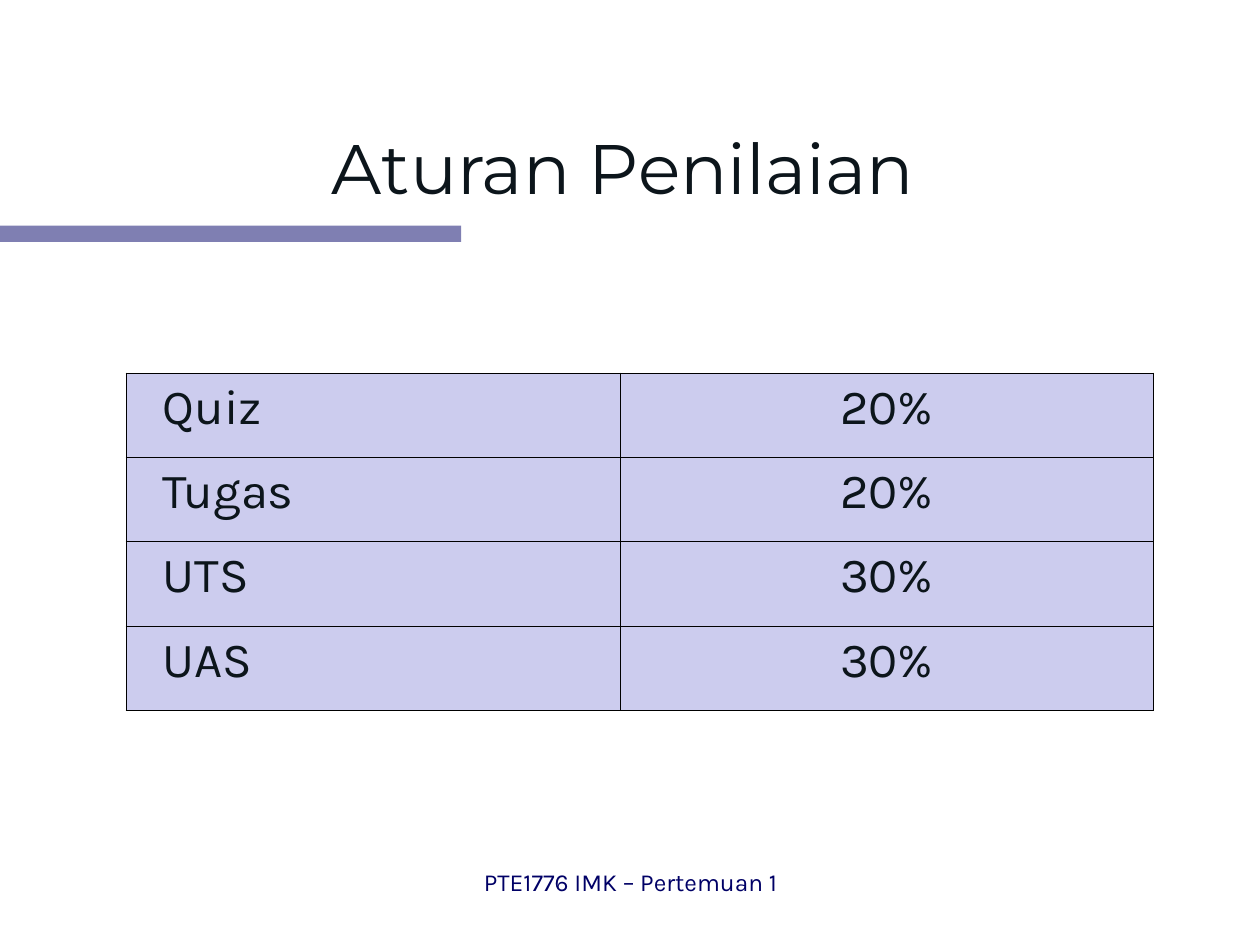
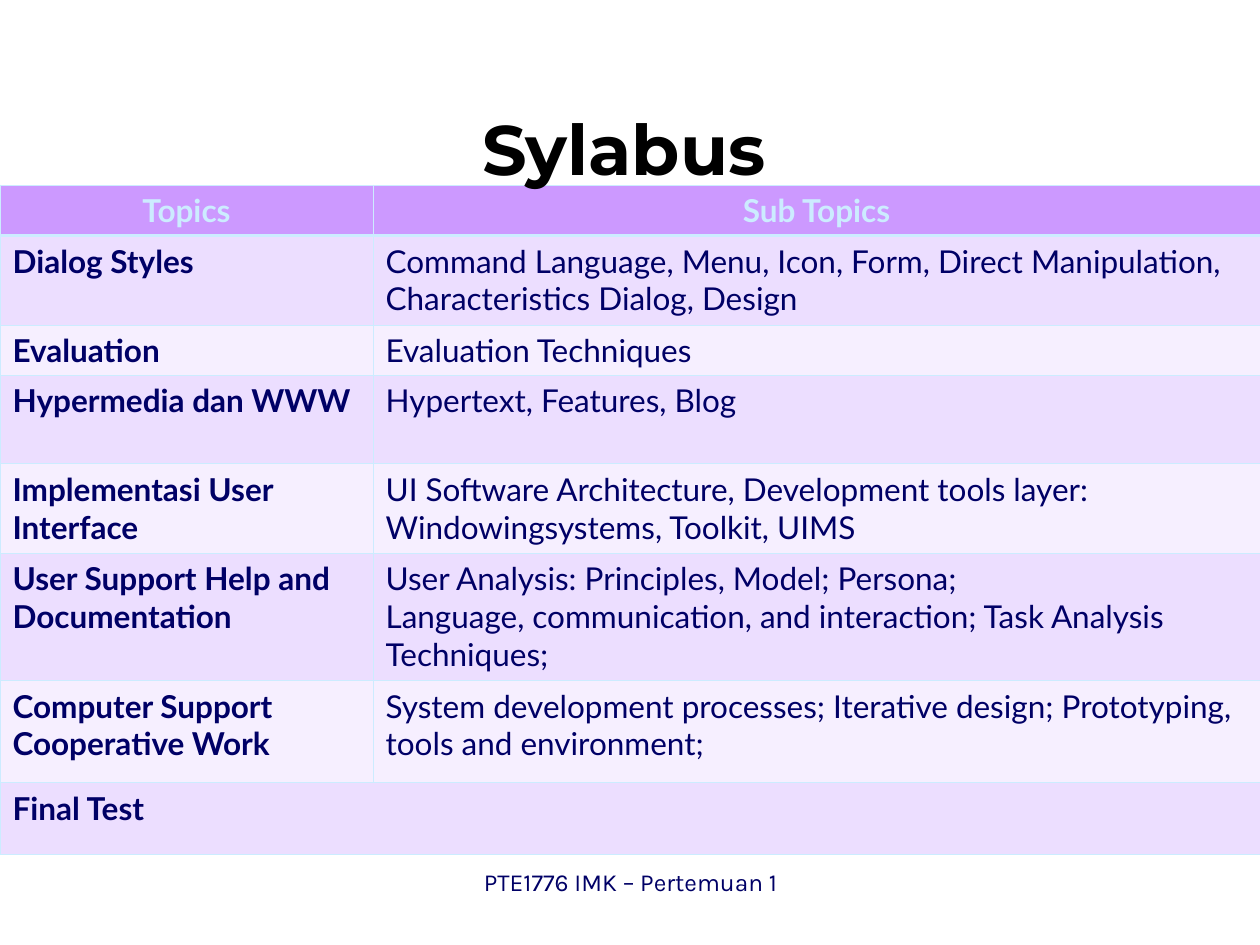
from lxml.etree import SubElement
from pptx import Presentation
from pptx.dml.color import RGBColor
from pptx.enum.shapes import MSO_SHAPE as SHAPE
from pptx.enum.text import MSO_ANCHOR as ANCHOR, PP_ALIGN as ALIGN
from pptx.oxml.ns import qn
from pptx.util import Cm, Pt

# Content
FOOTER = "PTE1776 IMK – Pertemuan 1"
GRADING_TITLE = "Aturan Penilaian"
GRADING = [("Quiz", "20%"), ("Tugas", "20%"), ("UTS", "30%"), ("UAS", "30%")]
SYLLABUS_TITLE = "Sylabus"
SYLLABUS = [
    ("Topics", "Sub Topics"),
    ("Dialog Styles",
     "Command Language, Menu, Icon, Form, Direct Manipulation, "
     "Characteristics Dialog, Design"),
    ("Evaluation", "Evaluation Techniques"),
    ("Hypermedia dan WWW", "Hypertext, Features, Blog"),
    ("Implementasi User Interface",
     "UI Software Architecture, Development tools layer:\n"
     "Windowingsystems, Toolkit, UIMS"),
    ("User Support Help and Documentation",
     "User Analysis: Principles, Model; Persona;\n"
     "Language, communication, and interaction; Task Analysis Techniques;"),
    ("Computer Support Cooperative Work",
     "System development processes; Iterative design; Prototyping, "
     "tools and environment;"),
    ("Final Test", ""),
]

# Shared style
NAVY, INK, BLACK = "000066", "0C151B", "000000"
LAVENDER, PURPLE, ICE = "CCCCEE", "CC99FF", "CCECFF"
BANDS = ("F6EFFF", "ECDEFF")
TITLE_FONT, BODY_FONT, TABLE_FONT = "Montserrat", "Karla", "Lato"
THIN, THICK = 0.45, 1.47


def rgb(color):
    return RGBColor.from_string(color)


def style_text(tf, font, size, color, bold=False, align=ALIGN.LEFT):
    for p in tf.paragraphs:
        p.alignment = align
        p.font.name, p.font.size, p.font.bold = font, Pt(size), bold
        p.font.color.rgb = rgb(color)


def add_text(s, text, box, font, size, color, bold=False, anchor=ANCHOR.TOP):
    tf = s.shapes.add_textbox(*map(Cm, box)).text_frame
    tf.word_wrap, tf.vertical_anchor = True, anchor
    tf.text = text
    style_text(tf, font, size, color, bold, ALIGN.CENTER)


def add_slide(prs):
    s = prs.slides.add_slide(prs.slide_layouts[6])
    # Half-transparent band under the title
    band = s.shapes.add_shape(SHAPE.RECTANGLE, 0, Cm(4.55), Cm(9.3), Cm(0.33))
    band.shadow.inherit = False
    band.line.fill.background()
    band.fill.solid()
    band.fill.fore_color.rgb = rgb(NAVY)
    color = next(band.fill._xPr.iter(qn("a:srgbClr")))
    SubElement(color, qn("a:alpha"), val="50000")
    # Footer
    add_text(s, FOOTER, (8.69, 17.35, 8.05, 1.27), BODY_FONT, 14, NAVY)
    return s


def add_table(s, rows, left, top, widths, heights):
    frame = s.shapes.add_table(len(rows), len(widths), Cm(left), Cm(top),
                               Cm(sum(widths)), Cm(sum(heights)))
    table = frame.table
    table.first_row = table.horz_banding = False
    for col, width in zip(table.columns, widths):
        col.width = Cm(width)
    for row, height, texts in zip(table.rows, heights, rows):
        row.height = Cm(height)
        for cell, text in zip(row.cells, texts):
            cell.text_frame.text = text
    return table


def paint_cell(cell, fill, border, top=THIN, bottom=THIN):
    tcPr = cell._tc.get_or_add_tcPr()
    for side, width in zip("LRTB", (THIN, THIN, top, bottom)):
        ln = SubElement(tcPr, qn(f"a:ln{side}"), w=str(Pt(width)))
        SubElement(SubElement(ln, qn("a:solidFill")), qn("a:srgbClr"), val=border)
    cell.fill.solid()
    cell.fill.fore_color.rgb = rgb(fill)


def build_grading(prs):
    s = add_slide(prs)
    table = add_table(s, GRADING, 2.54, 7.52, (9.96, 10.75), [1.7] * len(GRADING))
    for row in table.rows:
        for cell, align in zip(row.cells, (ALIGN.LEFT, ALIGN.CENTER)):
            paint_cell(cell, LAVENDER, BLACK)
            style_text(cell.text_frame, BODY_FONT, 28, INK, align=align)
        row.cells[0].margin_left = Cm(0.74)
    add_text(s, GRADING_TITLE, (1.83, 2.18, 21.46, 2.34), TITLE_FONT, 40, INK,
             anchor=ANCHOR.MIDDLE)


def build_syllabus(prs):
    s = add_slide(prs)
    table = add_table(s, SYLLABUS, 0, 3.73, (7.52, 17.88),
                      (1.02, 1.8, 1.02, 1.78, 1.8, 2.57, 2.06, 1.45))
    for i, row in enumerate(table.rows):
        head = i == 0
        for j, cell in enumerate(row.cells):
            paint_cell(cell, PURPLE if head else BANDS[i % 2], ICE,
                       top=THICK if i == 1 else THIN,
                       bottom=THICK if head else THIN)
            style_text(cell.text_frame, TABLE_FONT, 18, ICE if head else NAVY,
                       bold=head or j == 0,
                       align=ALIGN.CENTER if head else ALIGN.LEFT)
    last = len(SYLLABUS) - 1
    table.cell(last, 0).merge(table.cell(last, 1))
    add_text(s, SYLLABUS_TITLE, (0.51, 0.41, 24.13, 3.53), TITLE_FONT, 40, BLACK,
             bold=True, anchor=ANCHOR.BOTTOM)


def main():
    prs = Presentation()
    prs.slide_width, prs.slide_height = Cm(25.4), Cm(19.05)
    build_grading(prs)
    build_syllabus(prs)
    prs.save("out.pptx")


if __name__ == "__main__":
    main()
